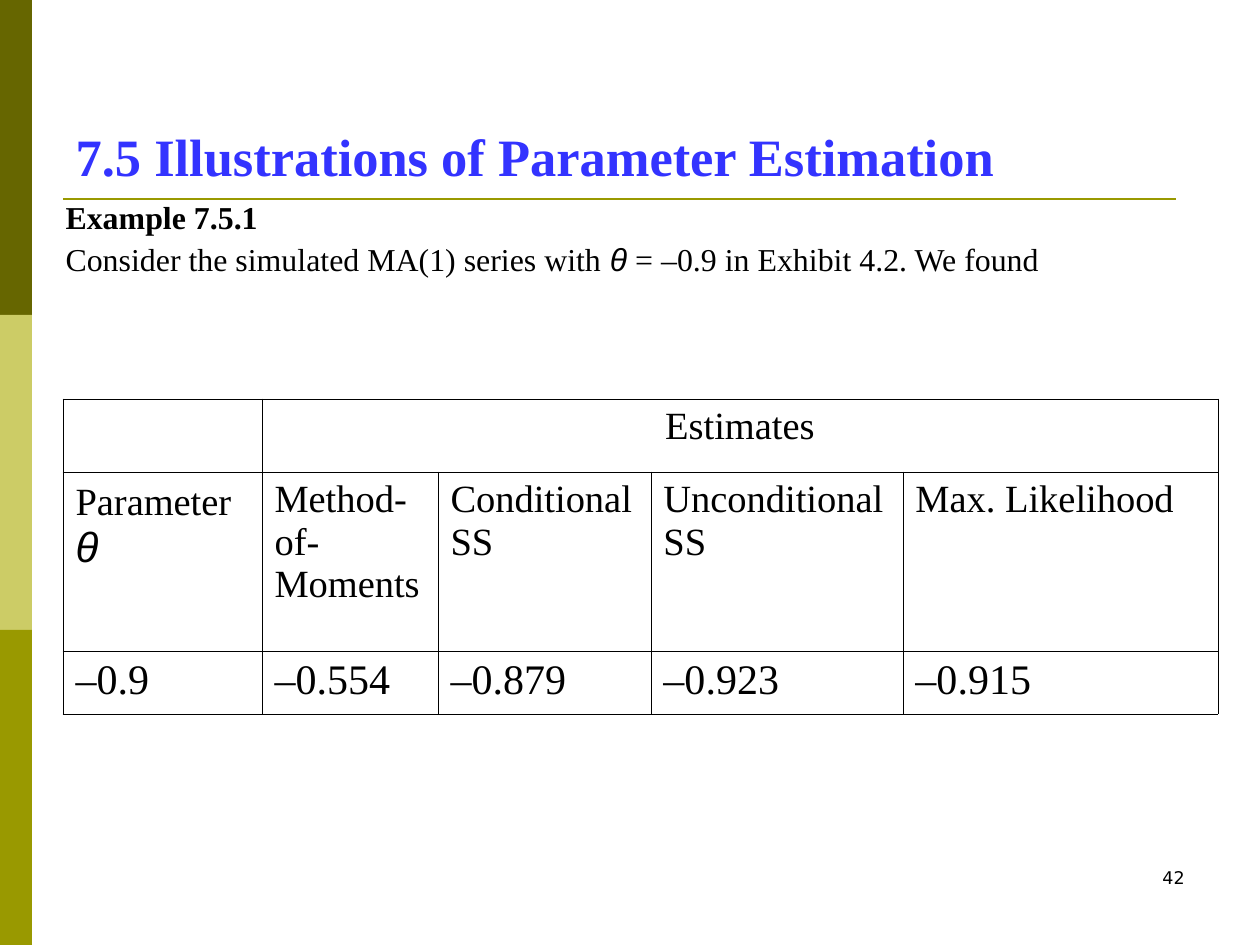
from lxml.etree import SubElement
from pptx import Presentation
from pptx.dml.color import RGBColor
from pptx.enum.shapes import MSO_CONNECTOR, MSO_SHAPE
from pptx.enum.text import MSO_ANCHOR, MSO_AUTO_SIZE, PP_ALIGN
from pptx.oxml.ns import qn
from pptx.util import Pt

PX = 914400 / 126
SERIF, SANS, SYMBOL = "Times New Roman", "DejaVu Sans", "Arial"
COLORS = {"dark": "666600", "light": "CCCC66", "olive": "999900",
          "title": "3333FF", "text": "000000"}


def px(*lengths):
    return [round(length * PX) for length in lengths]


def color(name):
    return RGBColor.from_string(COLORS[name])


def place(shape, box):
    shape.left, shape.top, shape.width, shape.height = px(*box)


def format_run(run, size, font=SERIF, bold=False, italic=False, tint="text"):
    run.font.size = Pt(size)
    run.font.name = font
    run.font.bold = bold
    run.font.italic = italic
    run.font.color.rgb = color(tint)


def add_run(paragraph, text, size, **style):
    run = paragraph.add_run()
    run.text = text
    format_run(run, size, **style)


def add_side_bar(slide, box):
    left, top, width, height = box
    band = height // 3
    for index, name in enumerate(("dark", "light", "olive")):
        shape = slide.shapes.add_shape(
            MSO_SHAPE.RECTANGLE, *px(left, top + index * band, width, band))
        shape.shadow.inherit = False
        shape.fill.solid()
        shape.fill.fore_color.rgb = color(name)
        shape.line.fill.background()


def add_title(slide, box):
    title = slide.shapes.title
    place(title, box)
    frame = title.text_frame
    frame.text = "7.5 Illustrations of Parameter Estimation"
    frame.auto_size = MSO_AUTO_SIZE.NONE
    frame.vertical_anchor = MSO_ANCHOR.BOTTOM
    frame.paragraphs[0].alignment = PP_ALIGN.LEFT
    format_run(frame.paragraphs[0].runs[0], 30, bold=True, tint="title")


def add_title_rule(slide, left, right, y):
    rule = slide.shapes.add_connector(
        MSO_CONNECTOR.STRAIGHT, *px(left, y, right, y))
    rule.line.color.rgb = color("olive")
    rule.line.width = Pt(1.5)
    SubElement(rule._element.spPr, qn("a:effectLst"))


def add_body(slide, box):
    body = slide.placeholders[1]
    place(body, box)
    frame = body.text_frame
    frame.auto_size = MSO_AUTO_SIZE.NONE
    heading, sentence = frame.paragraphs[0], frame.add_paragraph()
    add_run(heading, "Example 7.5.1", 18.2, bold=True)
    add_run(sentence, "Consider the simulated MA(1) series with ", 18.2)
    add_run(sentence, "θ", 18.2, font=SYMBOL, italic=True)
    add_run(sentence, " = –0.9 in Exhibit 4.2. We found", 18.2)
    for paragraph in frame.paragraphs:
        paragraph.line_spacing = 0.8
        paragraph.space_before = Pt(6.5)
        properties = paragraph._p.get_or_add_pPr()
        properties.set("marL", "0")
        properties.set("indent", "0")
        SubElement(properties, qn("a:buNone"))


def set_borders(cell):
    properties = cell._tc.get_or_add_tcPr()
    for index, side in enumerate(("lnL", "lnR", "lnT", "lnB")):
        line = SubElement(properties, qn(f"a:{side}"), w=str(Pt(0.45)))
        properties.insert(index, line)
        fill = SubElement(line, qn("a:solidFill"))
        SubElement(fill, qn("a:srgbClr"), val=COLORS["text"])


def add_estimates_table(slide, left, top):
    columns, rows = (199, 176, 213, 252, 315), (73, 179, 63)
    table = slide.shapes.add_table(
        len(rows), len(columns),
        *px(left, top, sum(columns), sum(rows))).table
    table.first_row = table.horz_banding = False
    for column, width in zip(table.columns, px(*columns)):
        column.width = width
    for row, height in zip(table.rows, px(*rows)):
        row.height = height
    for cell in table.iter_cells():
        cell.fill.background()
        cell.margin_left, cell.margin_right = px(12.6, 12.6)
        cell.margin_top, cell.margin_bottom = px(6.3, 6.3)
        set_borders(cell)
    table.cell(0, 1).merge(table.cell(0, 4))

    # Text of each row, with its size
    content = [
        (22, ("", "Estimates")),
        (22, ("Parameter", "Method- of-Moments", "Conditional SS",
              "Unconditional SS", "Max. Likelihood")),
        (24, ("–0.9", "–0.554", "–0.879", "–0.923", "–0.915")),
    ]
    for row, (size, texts) in enumerate(content):
        for column, text in enumerate(texts):
            if text:
                paragraph = table.cell(row, column).text_frame.paragraphs[0]
                add_run(paragraph, text, size)
    table.cell(0, 1).text_frame.paragraphs[0].alignment = PP_ALIGN.CENTER
    parameter = table.cell(1, 0).text_frame.paragraphs[0]
    add_run(parameter, " ", 24)
    add_run(parameter, "θ", 24, font=SYMBOL, italic=True)


def add_page_number(slide, box):
    frame = slide.shapes.add_textbox(*px(*box)).text_frame
    frame.word_wrap = True
    frame.text = "42"
    frame.paragraphs[0].alignment = PP_ALIGN.RIGHT
    format_run(frame.paragraphs[0].runs[0], 10, font=SANS)


def main():
    presentation = Presentation()
    presentation.slide_width, presentation.slide_height = px(1260, 945)
    slide = presentation.slides.add_slide(presentation.slide_layouts[1])
    add_side_bar(slide, (0, 0, 32, 945))
    add_title_rule(slide, 63, 1176, 199)
    add_page_number(slide, (903, 861, 294, 63))
    add_title(slide, (63, 105, 1134, 88))
    add_body(slide, (53, 199, 1092, 683))
    add_estimates_table(slide, 63, 399)
    presentation.save("out.pptx")


if __name__ == "__main__":
    main()
